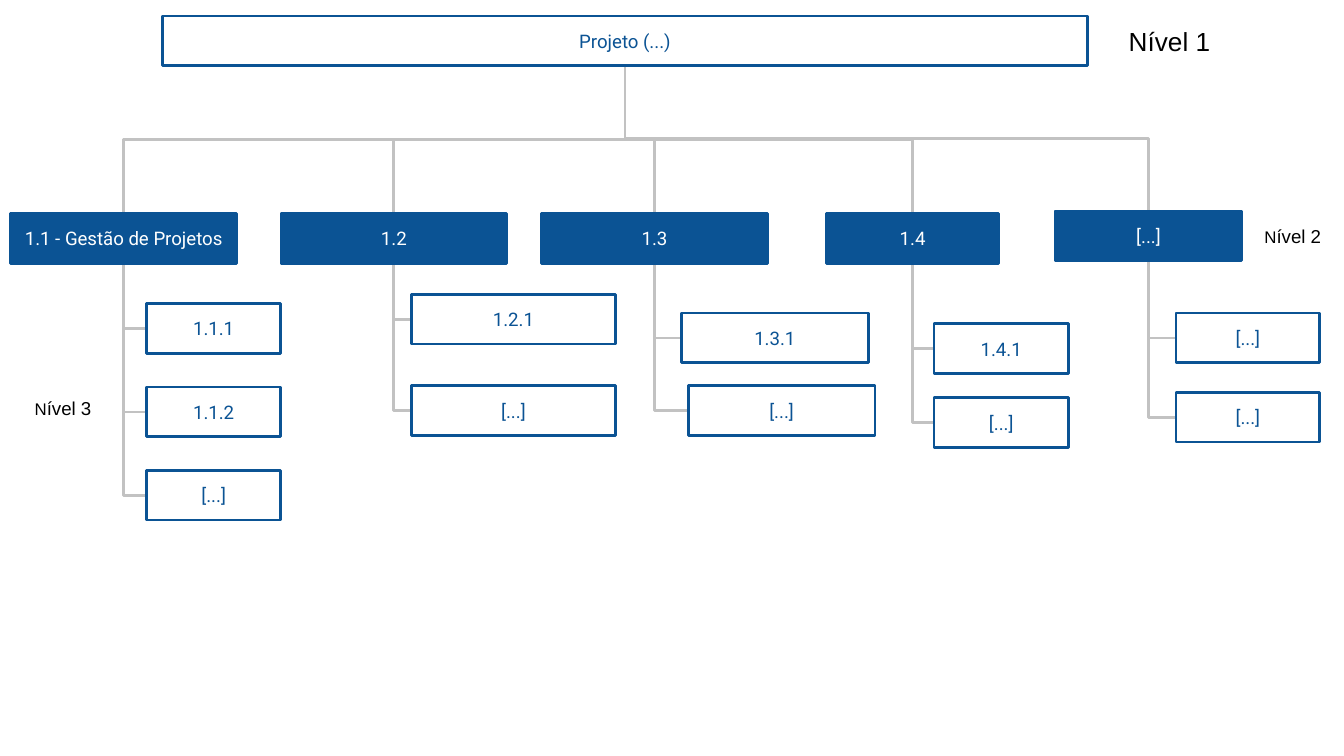
from pptx import Presentation, util as u
from pptx.dml.color import RGBColor
from pptx.enum import shapes, text
from pptx.oxml.ns import qn
from lxml import etree

COLORS = {"blue": "0B5394", "white": "FFFFFF", "grey": "C2C2C2", "black": "000000"}
COLS, ROWS = 100, 56.25  # square grid cells of 0.1 inch
BOX_H = 3.7
BOTTOM, LEFT = 2, 1  # connection sites of a rectangle


def rgb(name):
    return RGBColor.from_string(COLORS[name])


class Chart:
    """Style and current slide of a work breakdown structure."""

    line_width = u.Pt(1.5)
    frame = dict(word_wrap=True, auto_size=text.MSO_AUTO_SIZE.SHAPE_TO_FIT_TEXT,
                 **{f"margin_{side}": u.Inches(0.1)
                    for side in ("left", "right", "top", "bottom")})

    def __init__(self, prs):
        self.cell_w = prs.slide_width / COLS
        self.cell_h = prs.slide_height / ROWS
        self.s = prs.slides.add_slide(prs.slide_layouts[6])

    def place(self, x, y, w, h):
        return [round(v * cell) for v, cell in
                zip((x, y, w, h), (self.cell_w, self.cell_h) * 2)]

    def label(self, sp, runs, font, color, align, anchor):
        tf = sp.text_frame
        for name, value in dict(self.frame, vertical_anchor=anchor).items():
            setattr(tf, name, value)
        p = tf.paragraphs[0]
        p.alignment = align
        for words, size in runs:
            r = p.add_run()
            r.text = words
            for name, value in dict(name=font, size=u.Pt(size)).items():
                setattr(r.font, name, value)
            r.font.color.rgb = rgb(color)

    def box(self, words, x, y, w, fill="white", color="blue"):
        sp = self.s.shapes.add_shape(shapes.MSO_SHAPE.RECTANGLE,
                                     *self.place(x, y, w, BOX_H))
        sp.shadow.inherit = False
        sp.fill.solid()
        sp.fill.fore_color.rgb = rgb(fill)
        sp.line.color.rgb = rgb("blue")
        sp.line.width = self.line_width
        self.label(sp, [(words, 10)], "Roboto", color,
                   text.PP_ALIGN.CENTER, text.MSO_ANCHOR.MIDDLE)
        return sp

    def level(self, runs, x, y, w, h):
        sp = self.s.shapes.add_textbox(*self.place(x, y, w, h))
        self.label(sp, runs, "Arial", "black",
                   text.PP_ALIGN.LEFT, text.MSO_ANCHOR.TOP)

    def elbow(self, start, start_site, end, end_site):
        c = self.s.shapes.add_connector(shapes.MSO_CONNECTOR.ELBOW, 0, 0, 0, 0)
        c.begin_connect(start, start_site)
        c.end_connect(end, end_site)
        c.line.color.rgb = rgb("grey")
        c.line.width = self.line_width
        etree.SubElement(c.element.spPr, qn("a:effectLst"))
        self.s.shapes._spTree.insert(2, c.element)  # behind the boxes
        return c

    def turn(self, c, rotation, flip_h=False):
        c.rotation = rotation
        xfrm = c.element.spPr.find(qn("a:xfrm"))
        xfrm.set("flipH", str(int(flip_h)))
        xfrm.set("flipV", "0")

    def branch_line(self, root, branch):
        """Down, across, down: a three-part elbow on its side."""
        c = self.elbow(root, BOTTOM, branch, 0)
        rightward = c.end_x > c.begin_x
        x, y, w, h = c.left, c.top, c.width, c.height
        c.left, c.top = x + (w - h) // 2, y + (h - w) // 2
        c.width, c.height = h, w
        self.turn(c, 270 if rightward else 90, rightward)

    def leaf_line(self, leaf, branch):
        """Left from the leaf, then up to the branch."""
        c = self.elbow(leaf, LEFT, branch, BOTTOM)
        c.element.spPr.find(qn("a:prstGeom")).set("prst", "bentConnector2")
        self.turn(c, 180)


# Branches: label, left, top, width, leaf width, leaves (label, left, top)
BRANCHES = [
    ("1.1 - Gestão de Projetos", 0.8, 15.9, 16.8, 10,
     [("1.1.1", 10.9, 22.6), ("1.1.2", 10.9, 28.8), ("[...]", 10.9, 35)]),
    ("1.2", 20.9, 15.9, 16.8, 15.2,
     [("1.2.1", 30.6, 21.9), ("[...]", 30.6, 28.7)]),
    ("1.3", 40.3, 15.9, 16.8, 13.9,
     [("1.3.1", 50.7, 23.3), ("[...]", 51.2, 28.7)]),
    ("1.4", 61.5, 15.9, 12.8, 10,
     [("1.4.1", 69.5, 24.1), ("[...]", 69.5, 29.6)]),
    ("[...]", 78.5, 15.7, 13.9, 10.7,
     [("[...]", 87.5, 23.3), ("[...]", 87.5, 29.2)]),
]


def main():
    prs = Presentation()
    prs.slide_width, prs.slide_height = u.Inches(10), u.Inches(5.625)
    chart = Chart(prs)

    # Project, branches and leaves
    root = chart.box("Projeto (...)", 12.1, 1.2, 68.8)
    for title, x, y, w, leaf_w, leaves in BRANCHES:
        branch = chart.box(title, x, y, w, fill="blue", color="white")
        chart.branch_line(root, branch)
        for leaf_title, leaf_x, leaf_y in leaves:
            leaf = chart.box(leaf_title, leaf_x, leaf_y, leaf_w)
            chart.leaf_line(leaf, branch)

    # Level captions
    chart.level([("Nível 1", 14)], 83, 0.9, 8.2, 4.4)
    for number, x, y in ((2, 93.1, 15.9), (3, 1.6, 28.7)):
        chart.level([("N", 9), (f"ível {number}", 10)], x, y, 7.2, BOX_H)

    prs.save("out.pptx")


if __name__ == "__main__":
    main()
